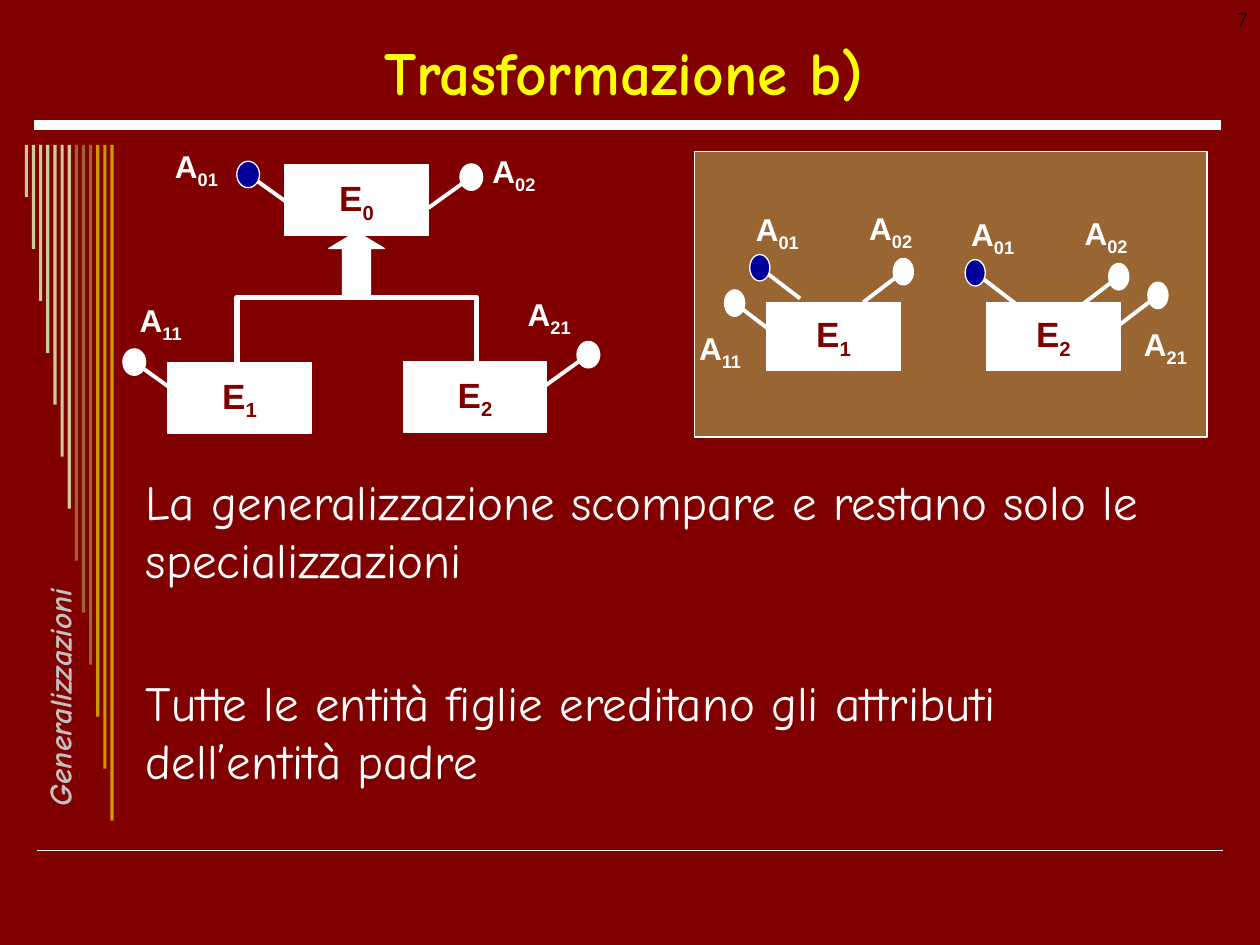
"""Build a slide that turns a generalization into its two specialized entities."""
from dataclasses import dataclass

from lxml.etree import SubElement
from pptx import Presentation
from pptx.dml.color import RGBColor
from pptx.enum.shapes import MSO_CONNECTOR as Connector, MSO_SHAPE as Shape
from pptx.enum.text import MSO_ANCHOR as Anchor, PP_ALIGN as Align
from pptx.oxml.ns import qn
from pptx.util import Pt


@dataclass(frozen=True)
class Theme:
    background: str = "800000"
    white: str = "FFFFFF"
    black: str = "000000"
    yellow: str = "FFFF00"
    silver: str = "C0C0C0"
    blue: str = "000099"
    sand: str = "CCCC99"
    brown: str = "996633"
    gold: str = "CC9900"
    heading_font: str = "Comic Neue"
    diagram_font: str = "Arial"
    title_size: float = 35
    body_size: float = 28
    entity_size: float = 20
    label_size: float = 18
    number_size: float = 12
    thin: float = 0.75
    stem: float = 2.25


class SlideBuilder:
    def __init__(self, deck, theme):
        self.theme = theme
        self.slide = deck.slides.add_slide(deck.slide_layouts[6])
        fill = self.slide.background.fill
        fill.solid()
        fill.fore_color.rgb = RGBColor.from_string(theme.background)

    def style_font(self, font, size, color, name, bold=False, italic=False):
        font.size, font.name, font.bold, font.italic = Pt(size), name, bold, italic
        font.color.rgb = RGBColor.from_string(color)

    def line(self, start, end, width):
        link = self.slide.shapes.add_connector(
            Connector.STRAIGHT, *(Pt(value) for value in (*start, *end)))
        link.line.color.rgb = RGBColor.from_string(self.theme.white)
        link.line.width = Pt(width)
        SubElement(link._element.spPr, qn("a:effectLst"))

    def shape(self, kind, left, top, width, height, color, outlined=True):
        shape = self.slide.shapes.add_shape(kind, Pt(left), Pt(top), Pt(width), Pt(height))
        shape.shadow.inherit = False
        shape.fill.solid()
        shape.fill.fore_color.rgb = RGBColor.from_string(color)
        if outlined:
            shape.line.color.rgb = RGBColor.from_string(self.theme.white)
            shape.line.width = Pt(self.theme.thin)
        else:
            shape.line.fill.background()
        return shape

    def bracket(self, points):
        first, *rest = [(Pt(x), Pt(y)) for x, y in points]
        builder = self.slide.shapes.build_freeform(*first)
        builder.add_line_segments(rest, close=False)
        outline = builder.convert_to_shape()
        outline.shadow.inherit = False
        outline.fill.background()
        outline.line.color.rgb = RGBColor.from_string(self.theme.white)
        outline.line.width = Pt(3)

    def text(self, left, top, width, height, lines, size, color, align=Align.LEFT,
             gap=0, wrap=True, **style):
        box = self.slide.shapes.add_textbox(Pt(left), Pt(top), Pt(width), Pt(height))
        frame = box.text_frame
        frame.word_wrap = wrap
        frame.text = "\n".join(lines)
        for index, para in enumerate(frame.paragraphs):
            para.alignment = align
            if index:
                para.space_before = Pt(gap)
            for span in para.runs:
                self.style_font(span.font, size, color, self.theme.heading_font, **style)
        return box

    def indexed(self, para, letter, index, size, color):
        para.text = letter
        subscript = para.add_run()
        subscript.text = index
        subscript._r.get_or_add_rPr().set("baseline", "-25000")
        for span in para.runs:
            self.style_font(span.font, size, color, self.theme.diagram_font, bold=True)

    def entity(self, index, left, top, width, height):
        box = self.shape(Shape.RECTANGLE, left, top, width, height, self.theme.white)
        frame = box.text_frame
        frame.word_wrap = False
        frame.vertical_anchor = Anchor.MIDDLE
        para = frame.paragraphs[0]
        self.indexed(para, "E", index, self.theme.entity_size, self.theme.background)
        para.alignment = Align.CENTER

    def attribute(self, index, center, label, run, dot_width, key=False):
        x, y = center
        dot_height = 15.1
        self.line((x + run, y + 17.6), center, self.theme.stem)
        color = self.theme.blue if key else self.theme.white
        self.shape(Shape.OVAL, x - dot_width / 2, y - dot_height / 2,
                   dot_width, dot_height, color)
        box = self.slide.shapes.add_textbox(Pt(label[0]), Pt(label[1]), Pt(52), Pt(31.7))
        box.text_frame.word_wrap = True
        self.indexed(box.text_frame.paragraphs[0], "A", index,
                     self.theme.label_size, self.theme.white)


def draw_frame(page, theme):
    """Draw the rules, the stripes and the texts around the diagrams."""
    page.line((20.9, 486), (699.1, 486), 1)
    page.line((19.4, 71.3), (697.7, 71.3), 6)
    stripes = [theme.sand] * 7 + [theme.brown] * 3 + [theme.gold] * 3
    for index, color in enumerate(stripes):
        page.shape(Shape.RECTANGLE, 14.2 + 4.08 * index, 82.8, 1.8,
                   29.7 * (index + 1), color, outlined=False)
    section = page.text(-54, 377.3, 164.2, 17.3, ["Generalizzazioni"], theme.label_size,
                        theme.silver, wrap=False, bold=True, italic=True)
    section.rotation = 270
    title = page.text(25.2, 15.1, 663.1, 51.1, ["Trasformazione b)"], theme.title_size,
                      theme.yellow, Align.CENTER, bold=True)
    title.text_frame.vertical_anchor = Anchor.MIDDLE
    page.text(76.3, 265.7, 613.4, 213.8, [
        "La generalizzazione scompare e restano solo le specializzazioni",
        "Tutte le entità figlie ereditano gli attributi dell’entità padre",
    ], theme.body_size, theme.white, gap=47.6)
    page.text(552.2, 0, 167.8, 36, ["7"], theme.number_size, theme.black, Align.RIGHT)


def draw_generalization(page, theme):
    """Draw the parent entity with its two children."""
    run, dot_width = 24.5, 13
    page.attribute("11", (76.7, 206.9), (72.7, 168.5), run, dot_width)
    page.attribute("01", (141.8, 99.7), (92.9, 80.6), run, dot_width, key=True)
    page.attribute("02", (269.3, 101.2), (274.3, 83.5), -run, dot_width)
    page.attribute("21", (336.2, 202.7), (294.5, 164.9), -run, dot_width)
    arrow = page.shape(Shape.UP_ARROW, 187.9, 132.5, 31.7, 37.4, theme.white)
    arrow.adjustments[0], arrow.adjustments[1] = 0.5, 0.3
    page.bracket([(135.4, 208.8), (135.4, 169.9), (272.2, 169.9), (272.2, 206.6)])
    for index, left, top in (("0", 162.7, 94.3), ("1", 95.8, 207.2), ("2", 230.4, 206.8)):
        page.entity(index, left, top, 82.1, 40.3)


def draw_specializations(page, theme):
    """Draw the panel with the two entities that remain."""
    run, dot_width = 23, 11.5
    page.shape(Shape.RECTANGLE, 396.7, 86.4, 293, 163.4, theme.brown)
    page.attribute("11", (419.8, 173.2), (392.4, 184.3), run, dot_width)
    page.attribute("21", (661.7, 168.8), (646.6, 182.2), -run, dot_width)
    for index, shift, drop in (("1", 0, 0), ("2", 123.1, 2.9)):
        page.attribute("01", (434.2 + shift, 153 + drop), (424.8 + shift, 116.6 + drop),
                       run, dot_width, key=True)
        page.attribute("02", (516.2 + shift, 155.2 + drop), (489.6 + shift, 115.9 + drop),
                       -run, dot_width)
    for index, left in (("1", 438.2), ("2", 563.8)):
        page.entity(index, left, 172.8, 76.3, 38.9)


def main():
    """Assemble the slide and save the deck."""
    deck = Presentation()
    deck.slide_width, deck.slide_height = Pt(720), Pt(540)
    theme = Theme()
    page = SlideBuilder(deck, theme)
    draw_frame(page, theme)
    draw_generalization(page, theme)
    draw_specializations(page, theme)
    deck.save("out.pptx")


if __name__ == "__main__":
    main()
